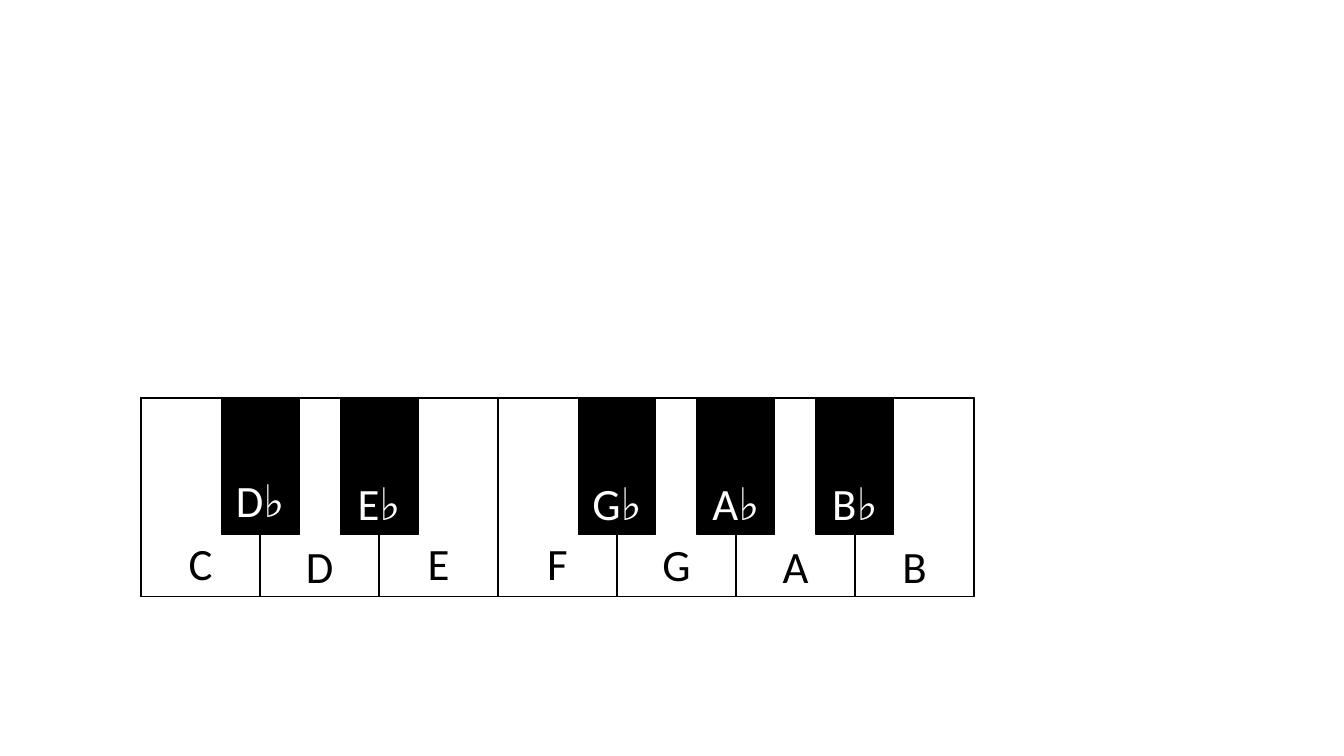
from dataclasses import dataclass

from pptx import Presentation
from pptx.dml.color import RGBColor
from pptx.enum.shapes import MSO_SHAPE as Shape
from pptx.enum.text import MSO_AUTO_SIZE as AutoSize, PP_ALIGN as Align
from pptx.util import Inches, Pt

# note, label top
WHITE_KEYS = [
    ("C", 5.27),
    ("D", 5.3),
    ("E", 5.27),
    ("F", 5.27),
    ("G", 5.28),
    ("A", 5.3),
    ("B", 5.3),
]
# note, white keys to its left, label top
BLACK_KEYS = [
    ("D♭", 1, 4.64),
    ("E♭", 2, 4.67),
    ("G♭", 4, 4.67),
    ("A♭", 5, 4.67),
    ("B♭", 6, 4.67),
]


@dataclass(frozen=True)
class Theme:
    white: RGBColor = RGBColor(255, 255, 255)
    black: RGBColor = RGBColor(0, 0, 0)
    font: str = "Calibri"
    note_size: Pt = Pt(32)
    outline: Pt = Pt(1)


THEME = Theme()
LEFT, TOP = 1.4, 3.95
KEYBOARD_WIDTH = 8.26
WHITE_WIDTH, WHITE_HEIGHT = KEYBOARD_WIDTH / len(WHITE_KEYS), 1.97
BLACK_WIDTH, BLACK_HEIGHT = 0.77, 1.35
NATURAL_WIDTH, FLAT_WIDTH, LABEL_HEIGHT = 0.5, 0.72, 0.64


def add_block(page, left, width, height, color):
    block = page.shapes.add_shape(
        Shape.RECTANGLE, Inches(left), Inches(TOP), Inches(width), Inches(height))
    block.shadow.inherit = False
    block.fill.solid()
    block.fill.fore_color.rgb = color
    block.line.color.rgb = THEME.black
    block.line.width = THEME.outline


def add_label(page, note, center, top, width, color):
    box = page.shapes.add_textbox(
        Inches(center - width / 2), Inches(top), Inches(width), Inches(LABEL_HEIGHT))
    frame = box.text_frame
    frame.word_wrap = False
    frame.auto_size = AutoSize.SHAPE_TO_FIT_TEXT
    para = frame.paragraphs[0]
    para.alignment = Align.CENTER
    span = para.add_run()
    span.text = note
    span.font.name = THEME.font
    span.font.size = THEME.note_size
    span.font.color.rgb = color


def main():
    deck = Presentation()
    deck.slide_width, deck.slide_height = Inches(13.33), Inches(7.5)
    page = deck.slides.add_slide(deck.slide_layouts[6])

    add_block(page, LEFT, KEYBOARD_WIDTH, WHITE_HEIGHT, THEME.white)
    for index in range(len(WHITE_KEYS)):
        add_block(page, LEFT + index * WHITE_WIDTH, WHITE_WIDTH, WHITE_HEIGHT, THEME.white)
    for _, position, _ in BLACK_KEYS:
        center = LEFT + position * WHITE_WIDTH
        add_block(page, center - BLACK_WIDTH / 2, BLACK_WIDTH, BLACK_HEIGHT, THEME.black)

    for index, (note, top) in enumerate(WHITE_KEYS):
        center = LEFT + (index + 0.5) * WHITE_WIDTH
        add_label(page, note, center, top, NATURAL_WIDTH, THEME.black)
    for note, position, top in BLACK_KEYS:
        center = LEFT + position * WHITE_WIDTH
        add_label(page, note, center, top, FLAT_WIDTH, THEME.white)

    deck.save("out.pptx")


if __name__ == "__main__":
    main()
